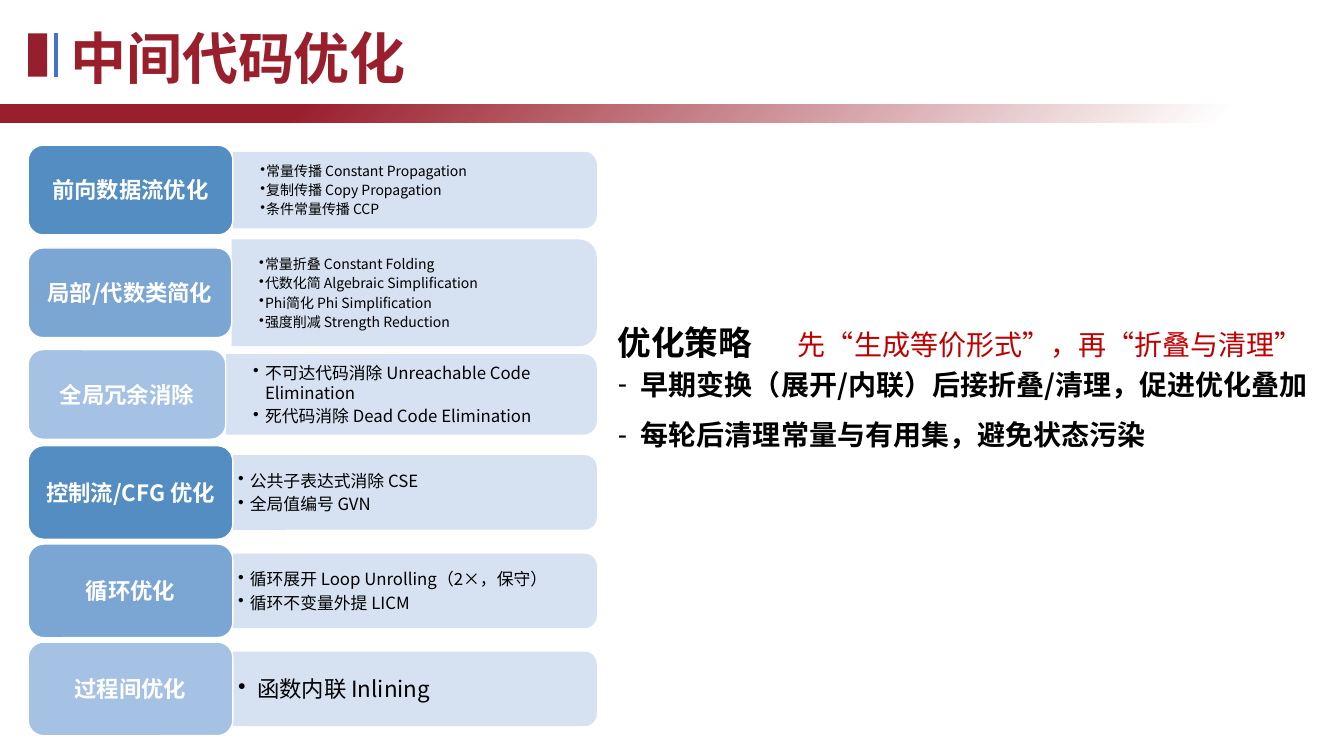
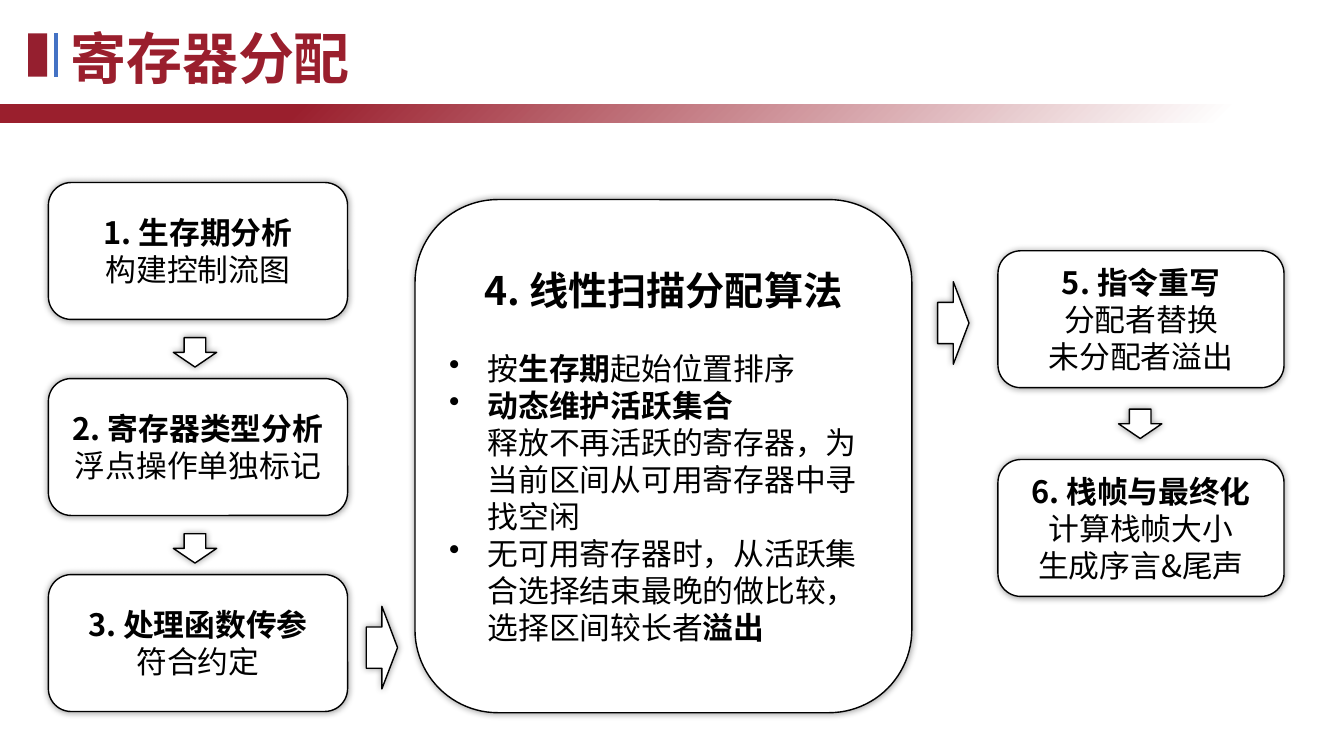
from lxml.etree import SubElement
from pptx import Presentation
from pptx.dml.color import RGBColor
from pptx.enum.shapes import MSO_CONNECTOR, MSO_SHAPE
from pptx.enum.text import MSO_ANCHOR, MSO_AUTO_SIZE, PP_ALIGN
from pptx.oxml.ns import qn
from pptx.util import Cm, Pt

FONT = "Noto Sans CJK SC"
CRIMSON = RGBColor(0x9A, 0x1F, 0x2D)
DARK_CRIMSON = RGBColor(0x95, 0x1F, 0x2F)
RED = RGBColor(0xC0, 0x00, 0x00)
ACCENT_BLUE = RGBColor(0x44, 0x72, 0xC4)
PANEL_BLUE = RGBColor(0xD6, 0xE1, 0xF1)
LABEL_BLUES = (
    RGBColor(0x53, 0x8D, 0xC1),
    RGBColor(0x7B, 0xA6, 0xD3),
    RGBColor(0xA5, 0xC1, 0xE3),
)
WHITE = RGBColor(0xFF, 0xFF, 0xFF)
BLACK = RGBColor(0x00, 0x00, 0x00)

TITLE_AND_CONTENT, TITLE_ONLY = 1, 5
LINE_HEIGHT = 1.2
LABEL_LEFT, PANEL_RIGHT = 0.71, 15.04

PASSES = [
    ("前向数据流优化", 4.79, 2.26, 5.87, 1.93, 0.69, 10, 0.15,
     ["常量传播 Constant Propagation", "复制传播 Copy Propagation", "条件常量传播 CCP"]),
    ("局部/代数类简化", 7.38, 2.26, 5.84, 2.69, 0.69, 10, 0.15,
     ["常量折叠 Constant Folding", "代数化简 Algebraic Simplification",
      "Phi简化 Phi Simplification", "强度削减 Strength Reduction"]),
    ("全局冗余消除", 9.94, 2.26, 5.69, 2.03, 0.69, 12, 0.3,
     ["不可达代码消除 Unreachable Code Elimination", "死代码消除 Dead Code Elimination"]),
    ("控制流/CFG 优化", 12.41, 2.36, 5.87, 1.88, 0.13, 12, 0.3,
     ["公共子表达式消除 CSE", "全局值编号 GVN"]),
    ("循环优化", 14.89, 2.36, 5.87, 1.88, 0.13, 12, 0.3,
     ["循环展开 Loop Unrolling（2×，保守）", "循环不变量外提 LICM"]),
    ("过程间优化", 17.36, 2.36, 5.87, 1.88, 0.13, 16, 0.48,
     ["函数内联 Inlining"]),
]

STEPS = [
    (1.22, 4.6, 7.54, ["*1. 生存期分析*", "构建控制流图"]),
    (1.22, 9.54, 7.54, ["*2. 寄存器类型分析*", "浮点操作单独标记"]),
    (1.22, 14.48, 7.54, ["*3. 处理函数传参*", "符合约定"]),
    (25.15, 6.32, 7.21, ["*5. 指令重写*", "分配者替换", "未分配者溢出"]),
    (25.15, 11.58, 7.21, ["*6. 栈帧与最终化*", "计算栈帧大小", "生成序言&尾声"]),
]
STEP_HEIGHT = 3.45

SCAN_RULES = [
    "按*生存期*起始位置排序",
    "*动态维护活跃集合*\n释放不再活跃的寄存器，为当前区间从可用寄存器中寻找空闲",
    "无可用寄存器时，从活跃集合选择结束最晚的做比较，选择区间较长者*溢出*",
]


class Deck:
    def __init__(self):
        self.presentation = Presentation()
        self.presentation.slide_width = Cm(33.87)
        self.presentation.slide_height = Cm(19.05)
        self.slide = None

    def start_slide(self, title, layout):
        layouts = self.presentation.slide_layouts
        self.slide = self.presentation.slides.add_slide(layouts[layout])
        band = self.shape(MSO_SHAPE.FLOWCHART_PROCESS, 0, 2.64, 33.87, 0.46)
        band.fill.gradient()
        band.fill.gradient_angle = 135
        stops = band.fill.gradient_stops
        for stop, position, color in zip(stops, (0.09, 0.78), (WHITE, CRIMSON)):
            stop.position = position
            stop.color.rgb = color
        self.shape(MSO_SHAPE.RECTANGLE, 0.71, 0.84, 0.48, 1.09, DARK_CRIMSON)
        self.line(1.42, 0.84, 1.42, 1.93, ACCENT_BLUE, 3)
        heading = self.place(self.slide.shapes.title, 1.52, 0.46, 32, 1.96)
        self.set_text(heading, [f"*{title}*"], 40, CRIMSON)

    def place(self, shape, left, top, width, height):
        shape.left, shape.top = Cm(left), Cm(top)
        shape.width, shape.height = Cm(width), Cm(height)
        return shape

    def shape(self, kind, left, top, width, height, fill=None, line=None):
        shape = self.slide.shapes.add_shape(
            kind, Cm(left), Cm(top), Cm(width), Cm(height))
        shape.shadow.inherit = False
        if fill is not None:
            shape.fill.solid()
            shape.fill.fore_color.rgb = fill
        if line is None:
            shape.line.fill.background()
        else:
            shape.line.color.rgb = line
            shape.line.width = Pt(1)
        return shape

    def glowing_shape(self, kind, left, top, width, height):
        shape = self.shape(kind, left, top, width, height, WHITE, BLACK)
        effects = shape._element.spPr.find(qn("a:effectLst"))
        shadow = SubElement(effects, qn("a:outerShdw"), blurRad="63500",
                            algn="ctr", rotWithShape="0")
        color = SubElement(shadow, qn("a:srgbClr"), val="000000")
        SubElement(color, qn("a:alpha"), val="40000")
        return shape

    def line(self, left, top, right, bottom, color, width):
        line = self.slide.shapes.add_connector(
            MSO_CONNECTOR.STRAIGHT, Cm(left), Cm(top), Cm(right), Cm(bottom))
        line.line.color.rgb = color
        line.line.width = Pt(width)
        SubElement(line._element.spPr, qn("a:effectLst"))

    def text_box(self, left, top, width, height):
        return self.slide.shapes.add_textbox(
            Cm(left), Cm(top), Cm(width), Cm(height))

    def set_text(self, shape, texts, size, color=BLACK, align=PP_ALIGN.LEFT,
                 anchor=MSO_ANCHOR.MIDDLE, margin=0.25, **style):
        frame = shape.text_frame
        frame.word_wrap = True
        frame.auto_size = MSO_AUTO_SIZE.NONE
        frame.vertical_anchor = anchor
        frame.margin_left = frame.margin_right = Cm(margin)
        frame.margin_top = frame.margin_bottom = Cm(0.13)
        for index, text in enumerate(texts):
            paragraph = frame.add_paragraph() if index else frame.paragraphs[0]
            self.fill_paragraph(paragraph, text, size, color, align, **style)
        return frame

    def fill_paragraph(self, paragraph, text, size, color, align,
                       spacing=1, after=0, bullet=None, indent=0):
        paragraph.alignment = align
        paragraph.line_spacing = Pt(size * LINE_HEIGHT * spacing)
        paragraph.space_before = Pt(0)
        paragraph.space_after = Pt(after)
        if bullet:
            properties = paragraph._p.get_or_add_pPr()
            properties.set("marL", str(Cm(indent)))
            properties.set("indent", str(-Cm(indent)))
            SubElement(properties, qn("a:buChar"), char=bullet)
        for number, line in enumerate(text.split("\n")):
            if number:
                paragraph.add_line_break()
            for index, part in enumerate(line.split("*")):
                if part:
                    self.add_run(paragraph, part, size, color, index % 2 == 1)

    def add_run(self, paragraph, text, size, color, bold):
        run = paragraph.add_run()
        run.text = text
        run.font.size = Pt(size)
        run.font.bold = bold
        run.font.color.rgb = color
        run.font.name = FONT
        SubElement(run._r.get_or_add_rPr(), qn("a:ea"), typeface=FONT)

    def pass_row(self, fill, label, middle, label_height, panel_left,
                 panel_height, margin, size, indent, items):
        width = PANEL_RIGHT - panel_left
        panel = self.shape(
            MSO_SHAPE.ROUND_2_SAME_RECTANGLE,
            panel_left + (width - panel_height) / 2, middle - width / 2,
            panel_height, width, PANEL_BLUE)
        panel.rotation = 90
        box = self.text_box(
            panel_left, middle - panel_height / 2, width - 0.1, panel_height)
        self.set_text(box, items, size, margin=margin, bullet="•",
                      indent=indent, after=size * LINE_HEIGHT * 0.15)
        tag = self.shape(
            MSO_SHAPE.ROUNDED_RECTANGLE, LABEL_LEFT, middle - label_height / 2,
            panel_left - LABEL_LEFT, label_height, fill, WHITE)
        self.set_text(tag, [f"*{label}*"], 16, WHITE, PP_ALIGN.CENTER, margin=0.1)

    def step(self, left, top, width, texts):
        box = self.glowing_shape(
            MSO_SHAPE.ROUNDED_RECTANGLE, left, top, width, STEP_HEIGHT)
        self.set_text(box, texts, 22, align=PP_ALIGN.CENTER, margin=0.1)

    def down_arrow(self, left, top):
        self.glowing_shape(MSO_SHAPE.DOWN_ARROW, left, top, 1.09, 0.74)

    def right_arrow(self, left, top):
        self.glowing_shape(MSO_SHAPE.RIGHT_ARROW, left, top, 0.79, 2.08)


def add_optimization_slide(deck):
    deck.start_slide("中间代码优化", TITLE_AND_CONTENT)
    for index, row in enumerate(PASSES):
        deck.pass_row(LABEL_BLUES[index % len(LABEL_BLUES)], *row)
    deck.set_text(deck.text_box(15.32, 7.98, 4.5, 1.27), ["*优化策略*"], 24,
                  anchor=MSO_ANCHOR.TOP)
    deck.set_text(deck.text_box(19.86, 8.13, 13.9, 1.12),
                  ["先“生成等价形式”，再“折叠与清理”"], 20, RED,
                  anchor=MSO_ANCHOR.TOP)
    strategy = deck.place(deck.slide.placeholders[1], 15.32, 8.7, 18.55, 3)
    frame = deck.set_text(
        strategy,
        ["*早期变换（展开/内联）后接折叠/清理，促进优化叠加*",
         "*每轮后清理常量与有用集，避免状态污染*"],
        20, anchor=MSO_ANCHOR.TOP, spacing=1.5, bullet="-", indent=0.58)
    frame.margin_right = 0


def add_allocation_slide(deck):
    deck.start_slide("寄存器分配", TITLE_ONLY)
    for step in STEPS:
        deck.step(*step)
    scan = deck.glowing_shape(
        MSO_SHAPE.ROUNDED_RECTANGLE, 10.46, 5.03, 12.52, 12.93)
    frame = deck.set_text(scan, ["*4. 线性扫描分配算法*"], 28,
                          align=PP_ALIGN.CENTER, after=26)
    for rule in SCAN_RULES:
        deck.fill_paragraph(frame.add_paragraph(), rule, 22, BLACK,
                            PP_ALIGN.LEFT, bullet="•", indent=0.97)
    for left, top in ((4.37, 8.51), (4.37, 13.45), (28.19, 10.31)):
        deck.down_arrow(left, top)
    for left, top in ((9.23, 15.28), (23.63, 7.1)):
        deck.right_arrow(left, top)


def main():
    deck = Deck()
    add_optimization_slide(deck)
    add_allocation_slide(deck)
    deck.presentation.save("out.pptx")


if __name__ == "__main__":
    main()
